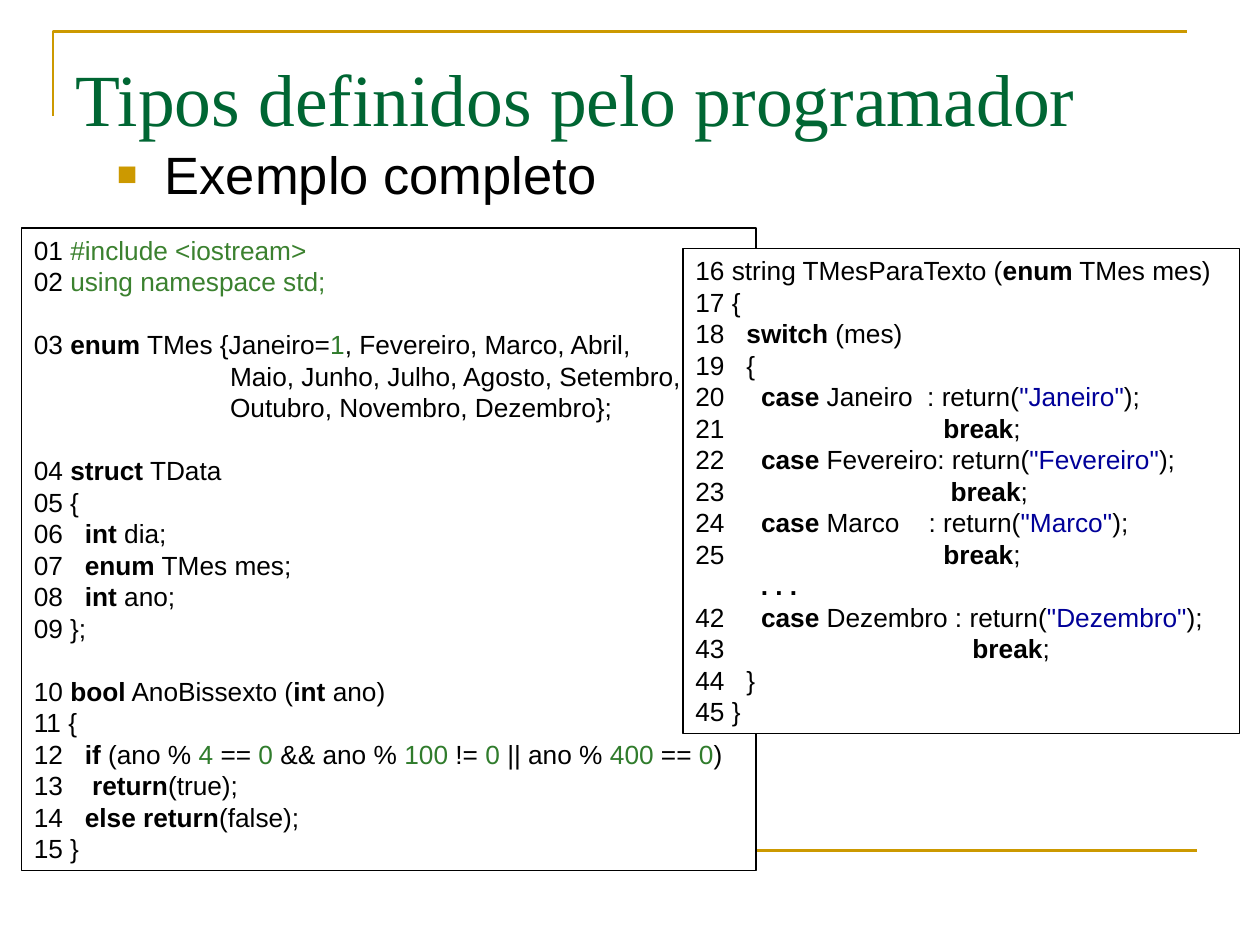
from pptx import Presentation
from pptx.dml.color import RGBColor
from pptx.enum.shapes import MSO_CONNECTOR as Connector, MSO_SHAPE as Shape
from pptx.enum.text import MSO_ANCHOR as Anchor, PP_ALIGN as Align
from pptx.oxml.ns import qn
from pptx.util import Inches, Pt
from lxml.etree import SubElement

GOLD, GREEN, BLACK, WHITE = "CC9900", "006633", "000000", "FFFFFF"
DIRECTIVE, NUMBER, STRING = "3B812F", "307C2C", "000099"
CODE_LINE = 18  # height of one code line in points

# Backticks enclose highlighted code; an empty line is a gap
TYPES_CODE = """\
01 `#include <iostream>`
02 `using namespace std;`

03 `enum` TMes {Janeiro=`1`, Fevereiro, Marco, Abril,
                           Maio, Junho, Julho, Agosto, Setembro,
                           Outubro, Novembro, Dezembro};

04 `struct` TData
05 {
06   `int` dia;
07   `enum` TMes mes;
08   `int` ano;
09 };

10 `bool` AnoBissexto (`int` ano)
11 {
12   `if` (ano % `4` == `0` && ano % `100` != `0` || ano % `400` == `0`)
13    `return`(true);
14   `else return`(false);
15 }"""

MONTH_CODE = """\
16 string TMesParaTexto (`enum` TMes mes)
17 {
18   `switch` (mes)
19   {
20     `case` Janeiro  : return(`"Janeiro"`);
21                              `break`;
22     `case` Fevereiro: return(`"Fevereiro"`);
23                               `break`;
24     `case` Marco    : return(`"Marco"`);
25                              `break`;
`         . . .`
42     `case` Dezembro : return(`"Dezembro"`);
43                                  `break`;
44   }
45 }"""


def rgb(color):
    return RGBColor.from_string(color)


def highlight(token):
    """Return the colour and weight of a highlighted piece of code."""
    if token.startswith('"'):
        return STRING, False
    if token.isdigit():
        return NUMBER, False
    if token.startswith(("#", "using")):
        return DIRECTIVE, False
    return BLACK, True


class SlideBuilder:
    heading_font = "Times New Roman"
    body_font = "Arial"

    def __init__(self, page):
        self.page = page

    def span(self, para, text, size, color=BLACK, bold=False, font=None):
        run = para.add_run()
        run.text = text
        run.font.name = font or self.body_font
        run.font.size = Pt(size)
        run.font.bold = bold
        run.font.color.rgb = rgb(color)

    def outline(self, shape, color, width):
        shape.line.color.rgb = rgb(color)
        shape.line.width = Pt(width)

    def corner(self, points):
        start, *rest = [(Inches(x), Inches(y)) for x, y in points]
        builder = self.page.shapes.build_freeform(*start)
        builder.add_line_segments(rest, close=False)
        shape = builder.convert_to_shape()
        shape.shadow.inherit = False
        shape.fill.background()
        self.outline(shape, GOLD, 1.5)

    def rule(self, left, right, y):
        line = self.page.shapes.add_connector(
            Connector.STRAIGHT, Inches(left), Inches(y), Inches(right), Inches(y))
        self.outline(line, GOLD, 1.5)
        SubElement(line._element.spPr, qn("a:effectLst"))

    def text_box(self, left, top, width, height):
        box = self.page.shapes.add_textbox(
            Inches(left), Inches(top), Inches(width), Inches(height))
        box.text_frame.word_wrap = True
        return box.text_frame

    def title(self, text, *place):
        frame = self.text_box(*place)
        frame.margin_top = Inches(0.12)
        self.span(frame.paragraphs[0], text, 42, GREEN, font=self.heading_font)

    def bullet(self, text, *place):
        para = self.text_box(*place).paragraphs[0]
        props = para._p.get_or_add_pPr()
        props.set("marL", str(Inches(0.38)))
        props.set("indent", str(-Inches(0.38)))
        color = SubElement(props, qn("a:buClr"))
        SubElement(color, qn("a:srgbClr"), val=GOLD)
        SubElement(props, qn("a:buSzPct"), val="65000")
        SubElement(props, qn("a:buFont"), typeface=self.body_font)
        SubElement(props, qn("a:buChar"), char="■")
        self.span(para, text, 30)

    def code(self, listing, left, top, width, height):
        box = self.page.shapes.add_shape(
            Shape.RECTANGLE, Inches(left), Inches(top), Inches(width), Inches(height))
        box.shadow.inherit = False
        box.fill.solid()
        box.fill.fore_color.rgb = rgb(WHITE)
        self.outline(box, BLACK, 0.75)
        frame = box.text_frame
        frame.word_wrap = True
        frame.vertical_anchor = Anchor.TOP
        para, gap = frame.paragraphs[0], 0
        for number, line in enumerate(listing.split("\n")):
            if not line:
                gap = CODE_LINE
                continue
            if number:
                para = frame.add_paragraph()
            para.alignment = Align.LEFT
            para.space_before, gap = Pt(gap), 0
            for index, token in enumerate(line.split("`")):
                if token:
                    color, bold = highlight(token) if index % 2 else (BLACK, False)
                    self.span(para, token, 15, color, bold)


def main():
    deck = Presentation()
    deck.slide_width, deck.slide_height = Inches(10), Inches(7.5)
    slide = SlideBuilder(deck.slides.add_slide(deck.slide_layouts[6]))

    # Frame lines
    slide.corner([(0.42, 0.92), (0.42, 0.25), (9.42, 0.25)])
    slide.rule(0.5, 9.5, 6.75)

    # Title and topic
    slide.title("Tipos definidos pelo programador", 0.5, 0.3, 9.08, 1.25)
    slide.bullet("Exemplo completo", 0.83, 1.08, 9.17, 5.58)

    # Code listings
    slide.code(TYPES_CODE, 0.17, 1.81, 5.83, 5.1)
    slide.code(MONTH_CODE, 5.42, 1.97, 4.42, 3.85)

    deck.save("out.pptx")


if __name__ == "__main__":
    main()
